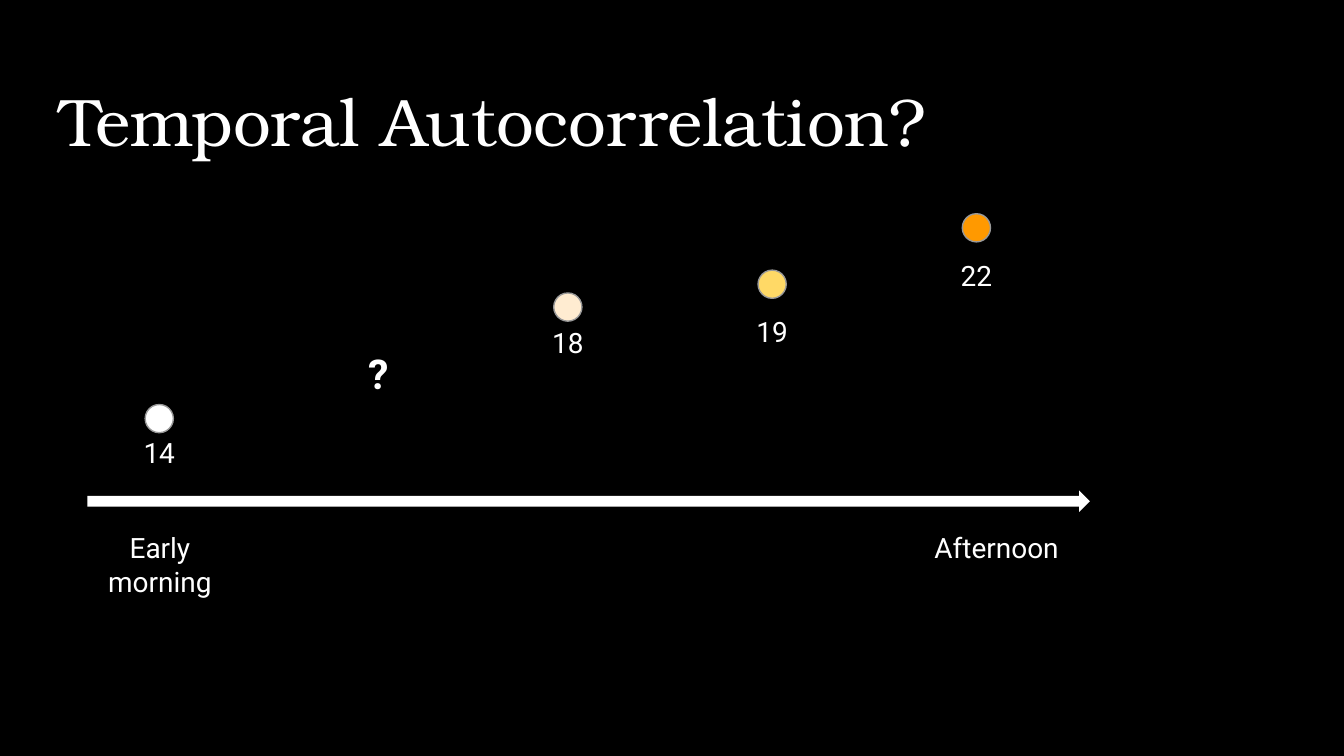
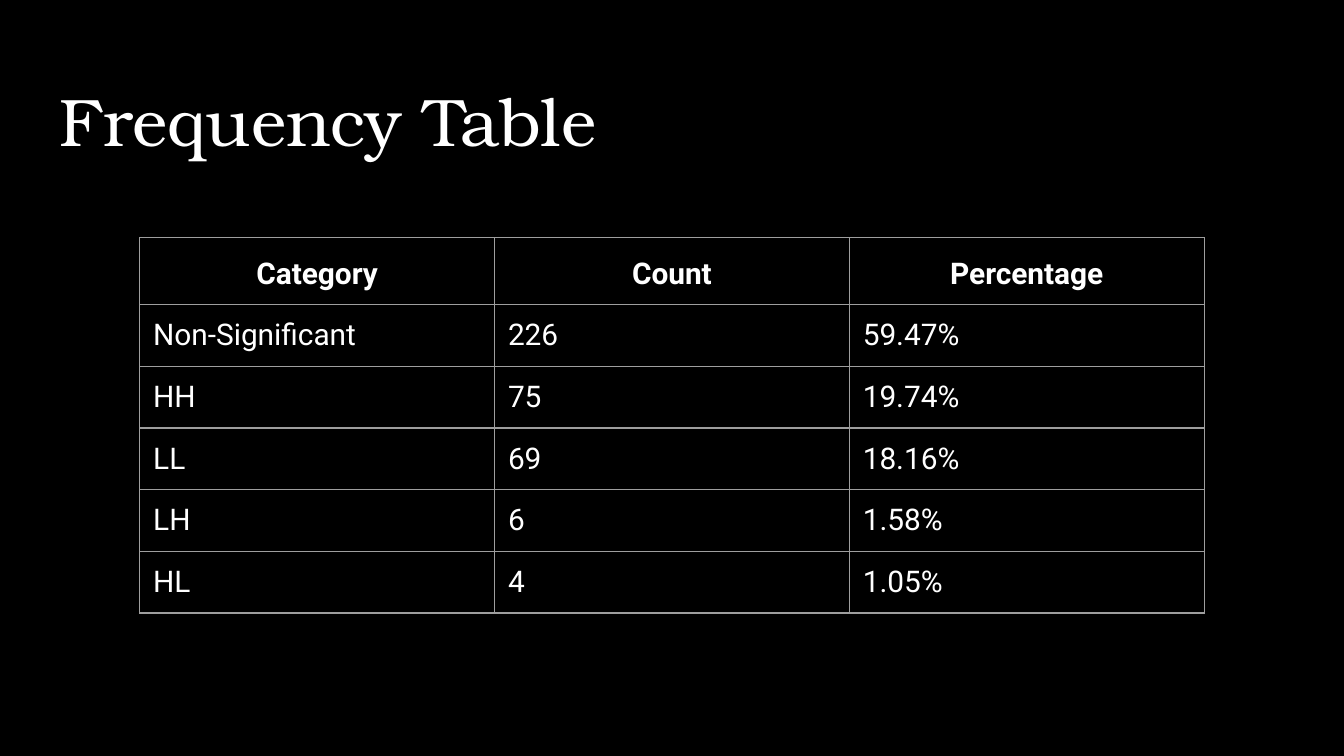
from dataclasses import dataclass

from lxml import etree
from pptx import Presentation
from pptx.dml.color import RGBColor
from pptx.enum.shapes import MSO_SHAPE
from pptx.enum.text import MSO_ANCHOR, MSO_AUTO_SIZE, PP_ALIGN
from pptx.oxml.ns import qn
from pptx.presentation import Presentation as Deck
from pptx.shapes.autoshape import Shape
from pptx.slide import Slide
from pptx.table import _Cell
from pptx.text.text import TextFrame, _Paragraph
from pptx.util import Inches, Length, Pt

ELLIPSE, RIGHT_ARROW = MSO_SHAPE.OVAL, MSO_SHAPE.RIGHT_ARROW
LEFT, CENTER = PP_ALIGN.LEFT, PP_ALIGN.CENTER
TOP = MSO_ANCHOR.TOP
NO_AUTOFIT = MSO_AUTO_SIZE.NONE

BLACK = RGBColor(0x00, 0x00, 0x00)
WHITE = RGBColor(0xFF, 0xFF, 0xFF)
CREAM = RGBColor(0xFF, 0xEC, 0xD1)
YELLOW = RGBColor(0xFF, 0xD9, 0x66)
ORANGE = RGBColor(0xFF, 0x99, 0x00)
DOT_OUTLINE = RGBColor(0x99, 0x99, 0x99)
TABLE_BORDER = RGBColor(0x9E, 0x9E, 0x9E)

TITLE_FONT = "TeX Gyre Bonum"
BODY_FONT = "Roboto"
THIN_LINE = Pt(0.75)

# The slide is a grid of square cells, 100 columns by 56.25 rows.
COLUMNS, ROWS = 100, 56.25
SLIDE_WIDTH = Inches(10)
CELL = SLIDE_WIDTH / COLUMNS
TITLE_ONLY_LAYOUT = 5

FIRST_DOT_COLUMN = 10.8
READING_STEP = 15.2
DOT_SIZE = 2.1
LABEL_WIDTH, LABEL_HEIGHT = 8.1, 5.9
LABEL_OFFSET = -3
TABLE_COLUMN_WIDTH, TABLE_ROW_HEIGHT = 26.4, 4.2


@dataclass(frozen=True)
class Area:
    column: float
    row: float
    width: float
    height: float

    def lengths(self) -> tuple[Length, ...]:
        return tuple(grid(n) for n in (self.column, self.row, self.width, self.height))


@dataclass(frozen=True)
class Reading:
    step: int
    value: str
    dot_row: float
    label_row: float
    colour: RGBColor


@dataclass(frozen=True)
class Label:
    text: str
    area: Area
    size: float = 15
    bold: bool = False


TITLE_AREA = Area(3.4, 4.9, 93.2, 6.3)
TIME_ARROW = Area(6.5, 36.5, 74.6, 1.6)
TABLE_COLUMN, TABLE_ROW = 10.4, 17.7

READINGS = (
    Reading(0, "14", 30.1, 31.4, WHITE),
    Reading(2, "18", 21.8, 23.2, CREAM),
    Reading(3, "19", 20.1, 22.4, YELLOW),
    Reading(4, "22", 15.9, 18.2, ORANGE),
)
TIME_LABELS = (
    Label("Early morning", Area(6.5, 38.5, 10.8, LABEL_HEIGHT)),
    Label("Afternoon", Area(67.2, 38.5, 13.9, LABEL_HEIGHT)),
    Label("?", Area(24.1, 24.9, LABEL_WIDTH, LABEL_HEIGHT), size=22, bold=True),
)
FREQUENCIES = (
    ("Category", "Count", "Percentage"),
    ("Non-Significant", "226", "59.47%"),
    ("HH", "75", "19.74%"),
    ("LL", "69", "18.16%"),
    ("LH", "6", "1.58%"),
    ("HL", "4", "1.05%"),
)


def grid(cells: float) -> Length:
    return Length(round(cells * CELL))


def style_paragraph(paragraph: _Paragraph, font_name: str, size: float,
                    alignment: PP_ALIGN = LEFT, bold: bool = False) -> None:
    paragraph.alignment = alignment
    for span in paragraph.runs:
        span.font.name = font_name
        span.font.size = Pt(size)
        span.font.bold = bold
        span.font.color.rgb = WHITE


def set_margins(target: TextFrame | _Cell) -> None:
    target.margin_left = target.margin_right = grid(1)
    target.margin_top = target.margin_bottom = grid(1)


def prepare_frame(frame: TextFrame) -> None:
    set_margins(frame)
    frame.word_wrap = True
    frame.auto_size = NO_AUTOFIT
    frame.vertical_anchor = TOP


def add_titled_page(deck: Deck, text: str) -> Slide:
    page = deck.slides.add_slide(deck.slide_layouts[TITLE_ONLY_LAYOUT])
    title = page.shapes.title
    title.left, title.top, title.width, title.height = TITLE_AREA.lengths()
    title.text_frame.text = text
    prepare_frame(title.text_frame)
    style_paragraph(title.text_frame.paragraphs[0], TITLE_FONT, 36)
    return page


def add_filled_shape(page: Slide, kind: MSO_SHAPE, area: Area, colour: RGBColor) -> Shape:
    shape = page.shapes.add_shape(kind, *area.lengths())
    shape.shadow.inherit = False
    shape.fill.solid()
    shape.fill.fore_color.rgb = colour
    shape.line.fill.background()
    return shape


def add_label(page: Slide, label: Label) -> None:
    box = page.shapes.add_textbox(*label.area.lengths())
    box.text_frame.text = label.text
    prepare_frame(box.text_frame)
    style_paragraph(box.text_frame.paragraphs[0], BODY_FONT, label.size, CENTER, label.bold)


def add_reading(page: Slide, reading: Reading) -> None:
    column = FIRST_DOT_COLUMN + reading.step * READING_STEP
    dot_area = Area(column, reading.dot_row, DOT_SIZE, DOT_SIZE)
    dot = add_filled_shape(page, ELLIPSE, dot_area, reading.colour)
    dot.line.color.rgb = DOT_OUTLINE
    dot.line.width = THIN_LINE
    label_area = Area(column + LABEL_OFFSET, reading.label_row, LABEL_WIDTH, LABEL_HEIGHT)
    add_label(page, Label(reading.value, label_area))


def add_cell_borders(cell: _Cell) -> None:
    properties = cell._tc.get_or_add_tcPr()
    for side in ("lnL", "lnR", "lnT", "lnB"):
        border = etree.SubElement(properties, qn(f"a:{side}"), w=str(int(THIN_LINE)))
        fill = etree.SubElement(border, qn("a:solidFill"))
        etree.SubElement(fill, qn("a:srgbClr"), val=str(TABLE_BORDER))


def fill_cell(cell: _Cell, text: str, is_header: bool) -> None:
    cell.text_frame.text = text
    set_margins(cell)
    add_cell_borders(cell)
    cell.fill.background()
    paragraph = cell.text_frame.paragraphs[0]
    style_paragraph(paragraph, BODY_FONT, 16, CENTER if is_header else LEFT, is_header)
    if is_header:
        paragraph.line_spacing = 1.15


def add_frequency_table(page: Slide) -> None:
    row_count, column_count = len(FREQUENCIES), len(FREQUENCIES[0])
    area = Area(TABLE_COLUMN, TABLE_ROW,
                column_count * TABLE_COLUMN_WIDTH, row_count * TABLE_ROW_HEIGHT)
    table = page.shapes.add_table(row_count, column_count, *area.lengths()).table
    table.first_row = table.horz_banding = False
    for row, texts in enumerate(FREQUENCIES):
        for column, text in enumerate(texts):
            fill_cell(table.cell(row, column), text, is_header=row == 0)


def build_autocorrelation_page(deck: Deck) -> None:
    page = add_titled_page(deck, "Temporal Autocorrelation?")
    for reading in READINGS:
        add_reading(page, reading)
    add_filled_shape(page, RIGHT_ARROW, TIME_ARROW, WHITE)
    for label in TIME_LABELS:
        add_label(page, label)


def build_frequency_page(deck: Deck) -> None:
    add_frequency_table(add_titled_page(deck, "Frequency Table"))


def main() -> None:
    deck = Presentation()
    deck.slide_width = SLIDE_WIDTH
    deck.slide_height = grid(ROWS)
    background = deck.slide_master.background.fill
    background.solid()
    background.fore_color.rgb = BLACK
    build_autocorrelation_page(deck)
    build_frequency_page(deck)
    deck.save("out.pptx")


if __name__ == "__main__":
    main()
